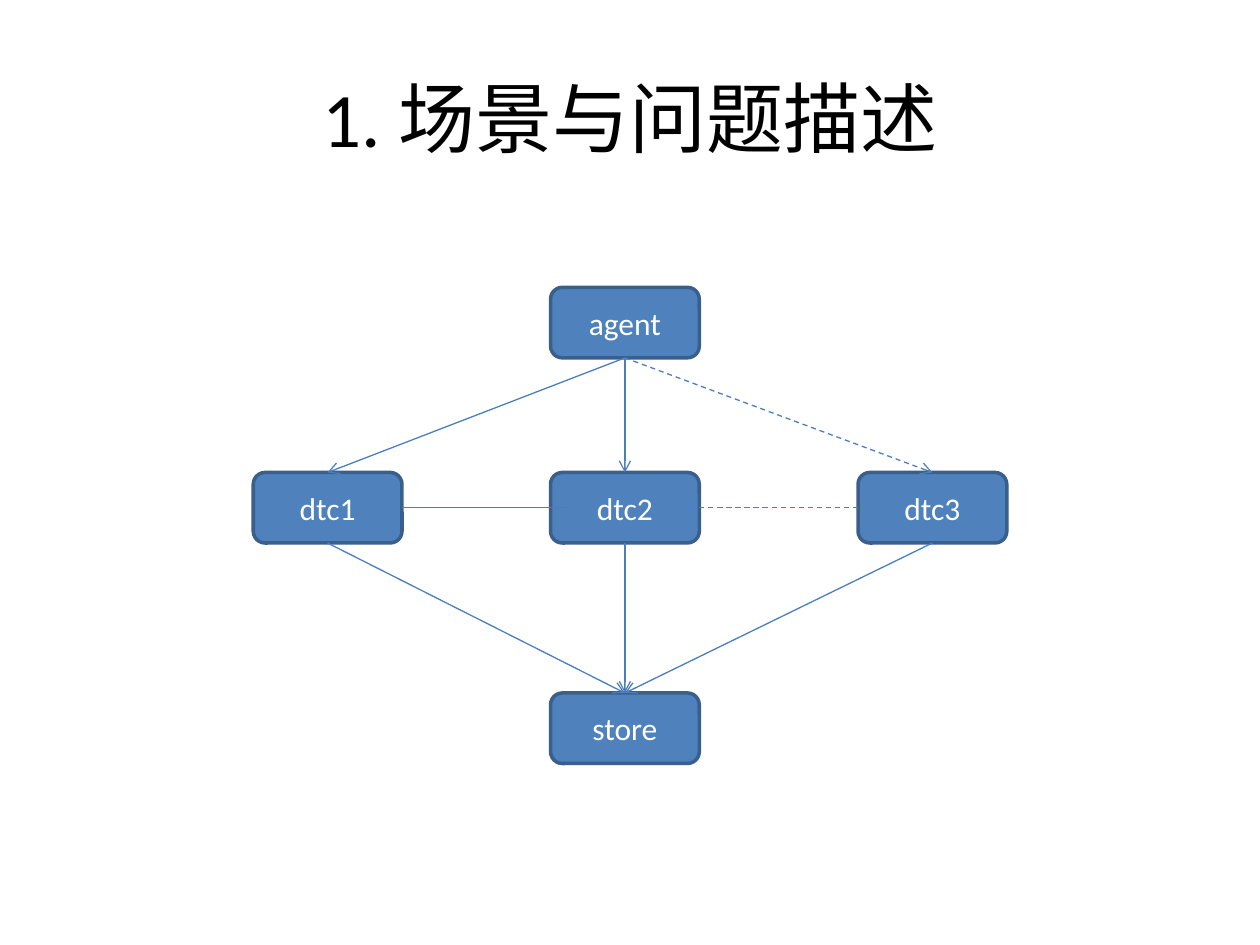
from dataclasses import dataclass
from typing import Optional

from lxml import etree
from pptx import Presentation
from pptx import util as u
from pptx.dml.color import RGBColor
from pptx.enum import dml, shapes, text
from pptx.oxml.ns import qn

FONT = "Calibri"
BOX_W, BOX_H = 85, 40.3
LEFT, CENTER, RIGHT = 144.7, 314.6, 490.3
AGENT_Y, DTC_Y, STORE_Y = 164.2, 270, 396
TOP_SIDE, LEFT_SIDE, BOTTOM_SIDE, RIGHT_SIDE = range(4)


@dataclass(frozen=True)
class Node:
    label: str
    x: float
    y: float

    def site(self, side: int) -> tuple[float, float]:
        fx, fy = ((0.5, 0), (0, 0.5), (0.5, 1), (1, 0.5))[side]
        return self.x + fx * BOX_W, self.y + fy * BOX_H


@dataclass(frozen=True)
class Link:
    start: str
    start_side: int
    end: str
    end_side: int
    arrow: bool = True
    dashed: bool = False
    free_end_x: Optional[float] = None


NODES = [
    Node("agent", CENTER, AGENT_Y),
    Node("dtc1", LEFT, DTC_Y),
    Node("dtc2", CENTER, DTC_Y),
    Node("dtc3", RIGHT, DTC_Y),
    Node("store", CENTER, STORE_Y),
]

LINKS = [
    Link("agent", BOTTOM_SIDE, "dtc2", TOP_SIDE),
    Link("agent", BOTTOM_SIDE, "dtc1", TOP_SIDE),
    Link("dtc2", BOTTOM_SIDE, "store", TOP_SIDE),
    Link("dtc1", BOTTOM_SIDE, "store", TOP_SIDE),
    Link("dtc3", BOTTOM_SIDE, "store", TOP_SIDE),
    Link("dtc1", RIGHT_SIDE, "dtc2", LEFT_SIDE, arrow=False, free_end_x=326.2),
    Link("agent", BOTTOM_SIDE, "dtc3", TOP_SIDE, dashed=True),
    Link("dtc2", RIGHT_SIDE, "dtc3", LEFT_SIDE, arrow=False, dashed=True),
]


def rgb(value: str) -> RGBColor:
    return RGBColor.from_string(value)


def write(sp, content: str, size: float, color: str) -> None:
    tf = sp.text_frame
    tf.word_wrap = True
    tf.vertical_anchor = text.MSO_ANCHOR.MIDDLE
    p = tf.paragraphs[0]
    p.alignment = text.PP_ALIGN.CENTER
    r = p.add_run()
    r.text = content
    r.font.name = FONT
    r.font.size = u.Pt(size)
    r.font.color.rgb = rgb(color)


def draw_title(s, content: str) -> None:
    sp = s.shapes.add_textbox(u.Pt(36), u.Pt(21.6), u.Pt(648), u.Pt(90))
    write(sp, content, 44, "000000")


def draw_node(s, node: Node):
    sp = s.shapes.add_shape(
        shapes.MSO_SHAPE.ROUNDED_RECTANGLE,
        u.Pt(node.x), u.Pt(node.y), u.Pt(BOX_W), u.Pt(BOX_H),
    )
    sp.shadow.inherit = False
    sp.fill.solid()
    sp.fill.fore_color.rgb = rgb("4F81BD")
    sp.line.color.rgb = rgb("3A5F8C")
    sp.line.width = u.Pt(2)
    write(sp, node.label, 18, "FFFFFF")
    return sp


def draw_link(s, link: Link, nodes: dict, boxes: dict) -> None:
    x1, y1 = nodes[link.start].site(link.start_side)
    x2, y2 = nodes[link.end].site(link.end_side)
    if link.free_end_x is not None:
        x2 = link.free_end_x
    c = s.shapes.add_connector(
        shapes.MSO_CONNECTOR.STRAIGHT, u.Pt(x1), u.Pt(y1), u.Pt(x2), u.Pt(y2)
    )
    c.begin_connect(boxes[link.start], link.start_side)
    if link.free_end_x is None:
        c.end_connect(boxes[link.end], link.end_side)
    c.line.color.rgb = rgb("4B7EBC")
    c.line.width = u.Pt(0.75)
    if link.dashed:
        c.line.dash_style = dml.MSO_LINE.DASH
    if link.arrow:
        ln = c._element.spPr.find(qn("a:ln"))
        etree.SubElement(ln, qn("a:tailEnd"), type="arrow")
    etree.SubElement(c._element.spPr, qn("a:effectLst"))


def main() -> None:
    prs = Presentation()
    prs.slide_width, prs.slide_height = u.Pt(720), u.Pt(540)
    s = prs.slides.add_slide(prs.slide_layouts[6])
    draw_title(s, "1. 场景与问题描述")
    nodes = {node.label: node for node in NODES}
    boxes = {node.label: draw_node(s, node) for node in NODES}
    for link in LINKS:
        draw_link(s, link, nodes, boxes)
    prs.save("out.pptx")


if __name__ == "__main__":
    main()
